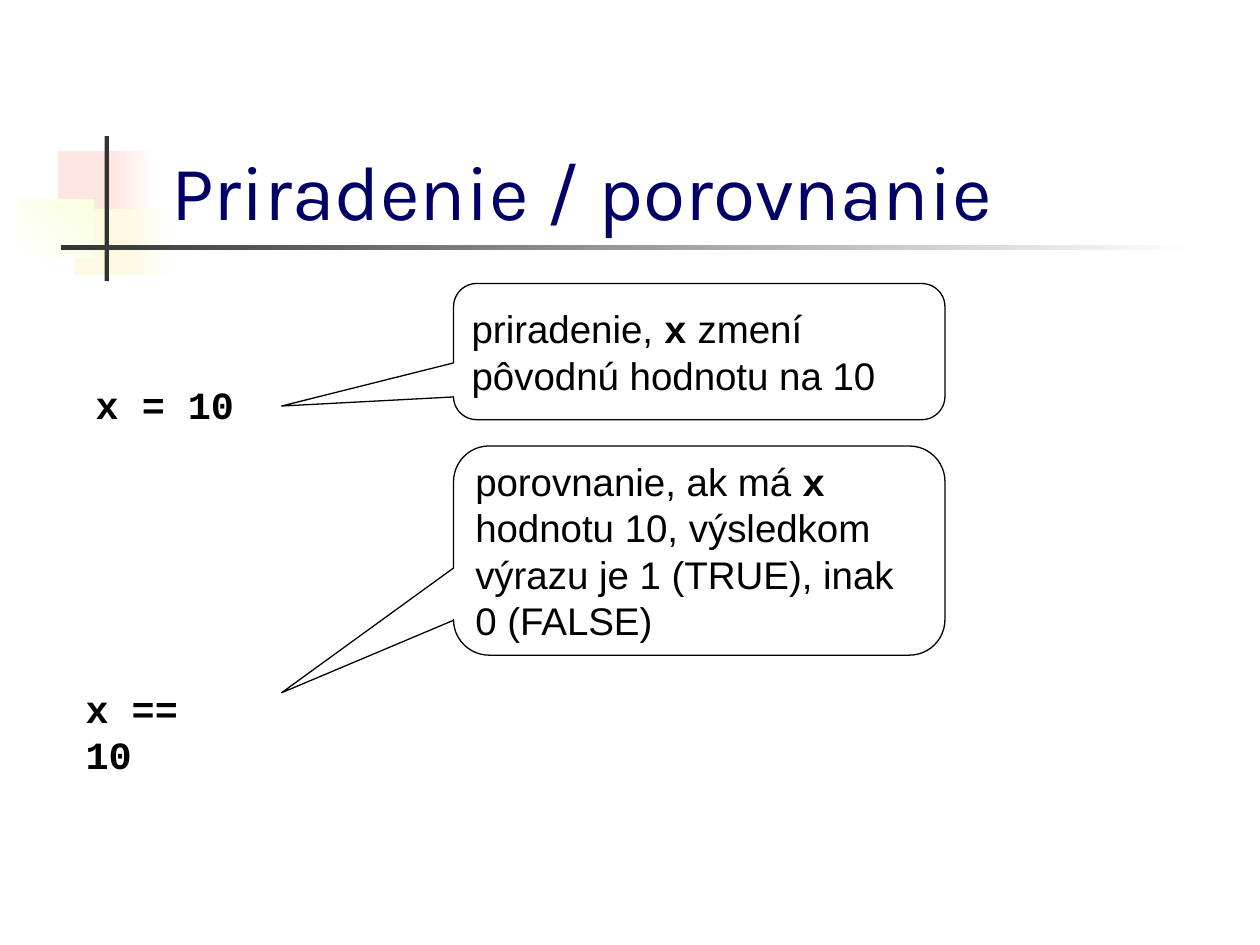
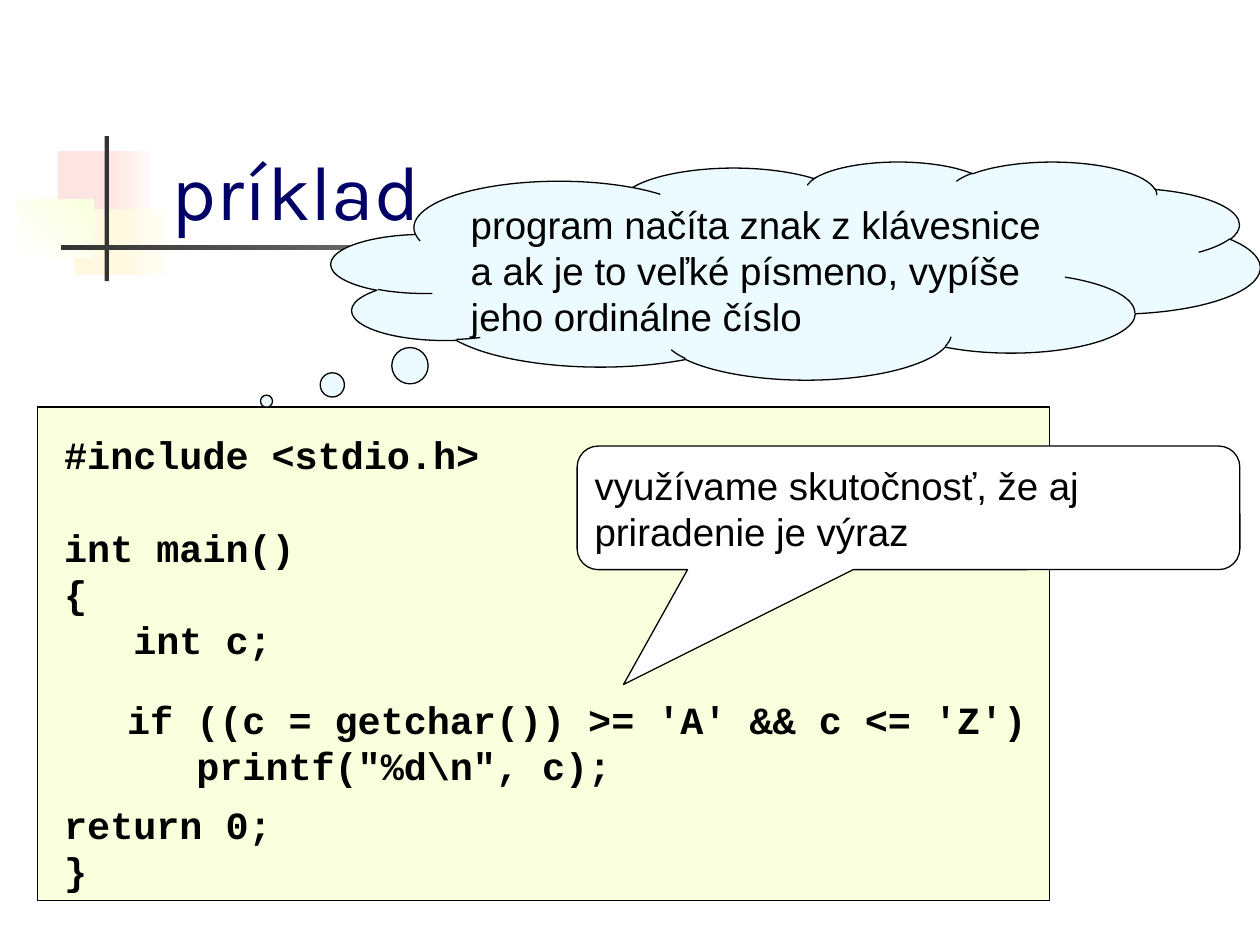
"""Build two C-language slides: assignment versus comparison, and an example."""
import pptx
import pptx.dml.color
import pptx.enum.shapes
import pptx.enum.text
import pptx.util

Pt = pptx.util.Pt
SHAPE = pptx.enum.shapes.MSO_SHAPE
ANCHOR = pptx.enum.text.MSO_ANCHOR
COLORS = {
    "paper": "FFFFFF", "ink": "000000", "title": "000066", "rule": "333333",
    "pink": "FFE5E1", "cream": "FFF9E1", "lime": "F9FFDD", "sky": "EBFBFF",
}
TITLE_FONT, TEXT_FONT, CODE_FONT = "Karla", "Arial", "Courier New"
TEXT_SIZE, LINE_HEIGHT = 22, 26.4
TITLE_BOX = (90.7, 48.2, 613.4, 90)
ORNAMENTS = [
    ((33.1, 86.4, 34.6, 37.4), ["pink"], 0),
    ((63.4, 86.4, 25.9, 37.4), ["paper", "pink"], 180),
    ((42.5, 119.5, 33.1, 37.4), ["cream"], 0),
    ((72, 119.5, 28.8, 37.4), ["paper", "cream"], 180),
    ((10.1, 113.8, 43.9, 33.1), ["lime", "paper"], 225),
    ((59.8, 77.8, 2.4, 82.8), ["rule"], 0),
    ((34.6, 140.2, 648, 2.4), ["paper", "rule"], 180),
]


def color(name):
    return pptx.dml.color.RGBColor.from_string(COLORS[name])


def points(bounds):
    return [Pt(length) for length in bounds]


def style_font(font, name, size, ink="ink", bold=False):
    font.name, font.size, font.bold = name, Pt(size), bold
    font.color.rgb = color(ink)


def add_shape(page, kind, bounds, fill, adjustments=()):
    shape = page.shapes.add_shape(kind, *points(bounds))
    shape.shadow.inherit = False
    shape.fill.solid()
    shape.fill.fore_color.rgb = color(fill)
    shape.line.color.rgb = color("ink")
    shape.line.width = Pt(0.75)
    for index, value in enumerate(adjustments):
        shape.adjustments[index] = value
    return shape


def decorate_layout(layout, page):
    """Draw the ornaments on a page and move them behind all pages of its layout."""
    for bounds, fills, angle in ORNAMENTS:
        shape = add_shape(page, SHAPE.RECTANGLE, bounds, fills[0])
        shape.line.fill.background()
        if len(fills) == 2:
            shape.fill.gradient()
            shape.fill.gradient_angle = angle
            for stop, name in zip(shape.fill.gradient_stops, fills):
                stop.color.rgb = color(name)
        layout.shapes.element.append(shape.element)


def set_title(page, text):
    title = page.shapes.title
    title.left, title.top, title.width, title.height = points(TITLE_BOX)
    frame = title.text_frame
    frame.text = text
    frame.vertical_anchor = ANCHOR.BOTTOM
    frame.auto_size = pptx.enum.text.MSO_AUTO_SIZE.NONE
    para = frame.paragraphs[0]
    para.alignment = pptx.enum.text.PP_ALIGN.LEFT
    style_font(para.font, TITLE_FONT, 44, "title")


def set_insets(frame, top=3.6):
    frame.margin_left = frame.margin_right = Pt(6.5)
    frame.margin_top, frame.margin_bottom = Pt(top), Pt(3.6)


def style_paragraph(para, font_name, bold=False):
    para.alignment = pptx.enum.text.PP_ALIGN.LEFT
    para.line_spacing = Pt(LINE_HEIGHT)
    style_font(para.font, font_name, TEXT_SIZE, bold=bold)


def add_code(page, bounds, lines):
    """Add code given as (text, number of empty lines above) pairs."""
    box = page.shapes.add_textbox(*points(bounds))
    frame = box.text_frame
    frame.word_wrap = False
    set_insets(frame, top=6)
    for index, (text, gap) in enumerate(lines):
        para = frame.add_paragraph() if index else frame.paragraphs[0]
        para.text = text
        if gap:
            para.space_before = Pt(gap * LINE_HEIGHT)
        style_paragraph(para, CODE_FONT, bold=True)


def add_callout(page, kind, bounds, adjustments, spans, fill="paper", top_inset=3.6):
    """Add a callout whose every second span is bold code."""
    callout = add_shape(page, kind, bounds, fill, adjustments)
    frame = callout.text_frame
    frame.word_wrap = True
    frame.vertical_anchor = ANCHOR.MIDDLE
    set_insets(frame, top_inset)
    para = frame.paragraphs[0]
    style_paragraph(para, TEXT_FONT)
    for index, text in enumerate(spans):
        span = para.add_run()
        span.text = text
        if index % 2:
            style_font(span.font, CODE_FONT, TEXT_SIZE, bold=True)


def build_comparison(page):
    set_title(page, "Priradenie / porovnanie")
    add_code(page, (48.2, 211.7, 92.2, 33.1), [("x = 10", 0)])
    add_code(page, (42.5, 385.2, 105.1, 33.1), [("x == 10", 0)])
    add_callout(page, SHAPE.ROUNDED_RECTANGULAR_CALLOUT, (259.2, 162, 280.8, 77.8),
                (-0.85, 0.4, 0.17),
                ["priradenie, ", "x", " zmení pôvodnú hodnotu na 10"])
    add_callout(page, SHAPE.ROUNDED_RECTANGULAR_CALLOUT, (259.2, 254.9, 280.8, 119.5),
                (-0.85, 0.68, 0.17),
                ["porovnanie, ak má ", "x",
                 " hodnotu 10, výsledkom výrazu je 1 (TRUE), inak 0 (FALSE)"])


def build_example(page):
    set_title(page, "príklad")
    add_shape(page, SHAPE.RECTANGLE, (21.6, 232.6, 578.2, 282.2), "lime")
    add_code(page, (30.2, 240.5, 250.6, 270.7), [
        ("#include <stdio.h>", 0), ("int main()", 1), ("{", 0),
        ("   int c;", 0), ("return 0;", 3), ("}", 0)])
    add_callout(page, SHAPE.CLOUD_CALLOUT, (189.4, 92.2, 530.6, 124.6), (-0.57, 0.6),
                ["program načíta znak z klávesnice a ak je to veľké písmeno, "
                 "vypíše jeho ordinálne číslo"], "sky", top_inset=9)
    add_code(page, (66.2, 391.7, 527, 59), [
        ("if ((c = getchar()) >= 'A' && c <= 'Z')", 0),
        ("   printf(\"%d\\n\", c);", 0)])
    add_callout(page, SHAPE.ROUNDED_RECTANGULAR_CALLOUT, (329.8, 254.9, 378.7, 70.6),
                (-0.43, 1.43, 0.17),
                ["využívame skutočnosť, že aj priradenie je výraz"])


def main():
    deck = pptx.Presentation()
    deck.slide_width, deck.slide_height = Pt(720), Pt(540)
    layout = deck.slide_layouts.get_by_name("Title Only")
    pages = [deck.slides.add_slide(layout) for _ in range(2)]
    decorate_layout(layout, pages[0])
    build_comparison(pages[0])
    build_example(pages[1])
    deck.save("out.pptx")


if __name__ == "__main__":
    main()
